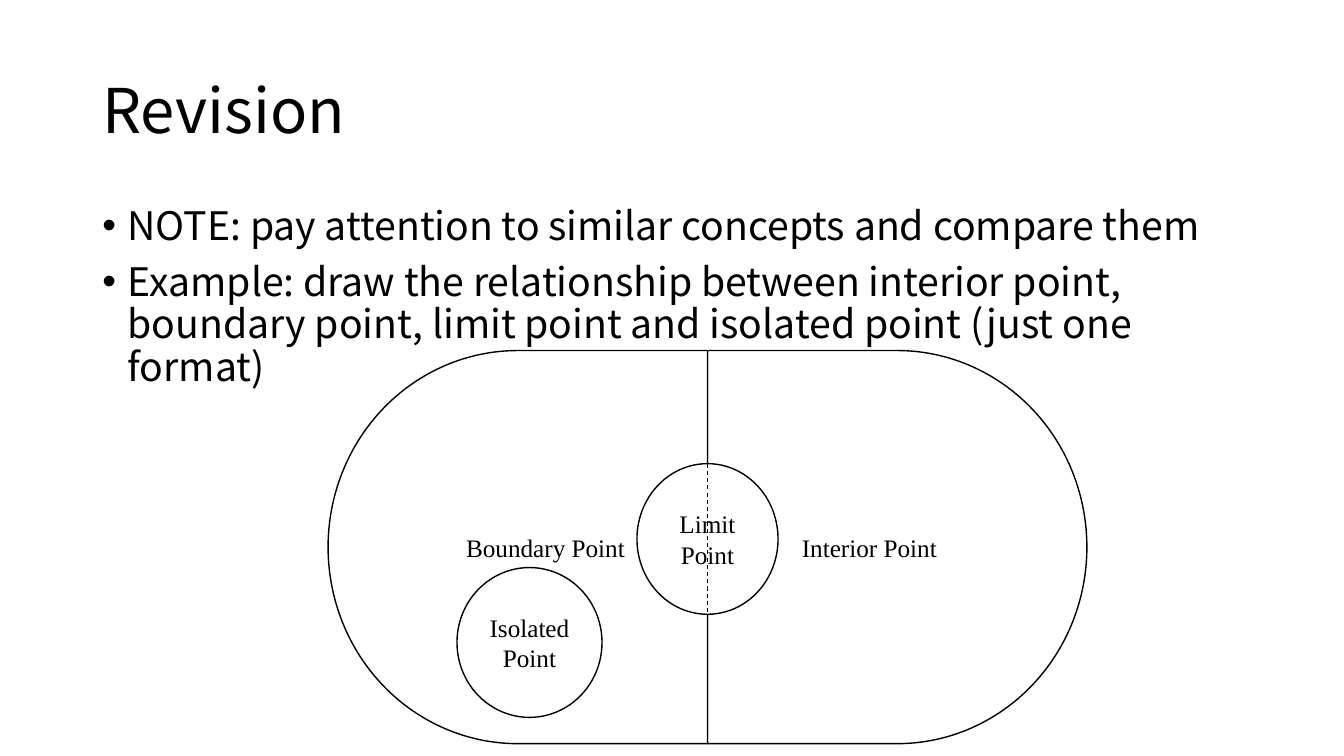
from lxml.etree import SubElement
from pptx import Presentation
from pptx.dml.color import RGBColor
from pptx.enum.dml import MSO_LINE
from pptx.enum.shapes import MSO_CONNECTOR, MSO_SHAPE
from pptx.enum.text import MSO_ANCHOR, MSO_AUTO_SIZE, PP_ALIGN
from pptx.oxml.ns import qn
from pptx.util import Pt


def rgb(value):
    return RGBColor.from_string(value)


def write(p, text, size=18, font="Times New Roman", color="000000",
          align=PP_ALIGN.CENTER, spacing=None, before=0, bullet=None):
    if bullet:
        pPr = p._p.get_or_add_pPr()
        pPr.set("marL", str(Pt(18)))
        pPr.set("indent", str(Pt(-18)))
        SubElement(pPr, qn("a:buFont")).set("typeface", "Arial")
        SubElement(pPr, qn("a:buChar")).set("char", bullet)
    p.alignment = align
    p.space_before = Pt(before)
    if spacing:
        p.line_spacing = spacing
    r = p.add_run()
    r.text = text
    r.font.size = Pt(size)
    r.font.name = font
    r.font.color.rgb = rgb(color)


class Deck:
    heading_font = "Noto Sans CJK SC"
    ink = "000000"
    paper = "FFFFFF"

    def __init__(self, width, height):
        self.prs = Presentation()
        self.prs.slide_width = Pt(width)
        self.prs.slide_height = Pt(height)

    def add_slide(self):
        self.s = self.prs.slides.add_slide(self.prs.slide_layouts[1])
        self.s.background.fill.solid()
        self.s.background.fill.fore_color.rgb = rgb(self.paper)

    def placeholder(self, sp, box, anchor):
        sp.left, sp.top, sp.width, sp.height = map(Pt, box)
        tf = sp.text_frame
        tf.word_wrap = True
        tf.auto_size = MSO_AUTO_SIZE.NONE
        tf.vertical_anchor = anchor
        return tf

    def title(self, text, box):
        tf = self.placeholder(self.s.shapes.title, box, MSO_ANCHOR.MIDDLE)
        write(tf.paragraphs[0], text, size=44, font=self.heading_font,
              color=self.ink, align=PP_ALIGN.LEFT, spacing=0.9)

    def bullets(self, items, box):
        tf = self.placeholder(self.s.placeholders[1], box, MSO_ANCHOR.TOP)
        for i, item in enumerate(items):
            p = tf.add_paragraph() if i else tf.paragraphs[0]
            write(p, item, size=28, font=self.heading_font, color=self.ink,
                  align=PP_ALIGN.LEFT, spacing=0.9, before=10 if i else 0,
                  bullet="•")

    def shape(self, kind, text, box, flip=False):
        sp = self.s.shapes.add_shape(kind, *map(Pt, box))
        sp.shadow.inherit = False
        sp.fill.solid()
        sp.fill.fore_color.rgb = rgb(self.paper)
        sp.line.color.rgb = rgb(self.ink)
        sp.line.width = Pt(1)
        if flip:
            sp._element.spPr.find(qn("a:xfrm")).set("flipH", "1")
        tf = sp.text_frame
        tf.word_wrap = True
        tf.vertical_anchor = MSO_ANCHOR.MIDDLE
        write(tf.paragraphs[0], text, color=self.ink)

    def dashed_line(self, x1, y1, x2, y2):
        line = self.s.shapes.add_connector(
            MSO_CONNECTOR.STRAIGHT, *map(Pt, (x1, y1, x2, y2)))
        line.line.color.rgb = rgb(self.ink)
        line.line.width = Pt(0.75)
        line.line.dash_style = MSO_LINE.DASH
        SubElement(line._element.spPr, qn("a:effectLst"))


def main():
    deck = Deck(960, 540)
    deck.add_slide()
    deck.title("Revision", (66, 28.75, 828, 104.4))
    deck.bullets([
        "NOTE: pay attention to similar concepts and compare them",
        "Example: draw the relationship between interior point, boundary point, "
        "limit point and isolated point (just one format)",
    ], (66, 143.75, 828, 342.6))

    middle, top, half, height = 505.4, 250.4, 271, 280.8
    limit_top, limit_width, limit_height = 331.2, 100.8, 107.6
    deck.shape(MSO_SHAPE.FLOWCHART_DELAY, "Interior Point",
               (middle, top, half, height))
    deck.shape(MSO_SHAPE.FLOWCHART_DELAY, "Boundary Point",
               (middle - half, top, half, height), flip=True)
    deck.shape(MSO_SHAPE.OVAL, "Limit Point",
               (middle - limit_width / 2, limit_top, limit_width, limit_height))
    deck.dashed_line(middle, limit_top, middle, limit_top + limit_height)
    deck.shape(MSO_SHAPE.OVAL, "Isolated Point", (326.4, 405.4, 103.6, 107))
    deck.prs.save("out.pptx")


if __name__ == "__main__":
    main()
